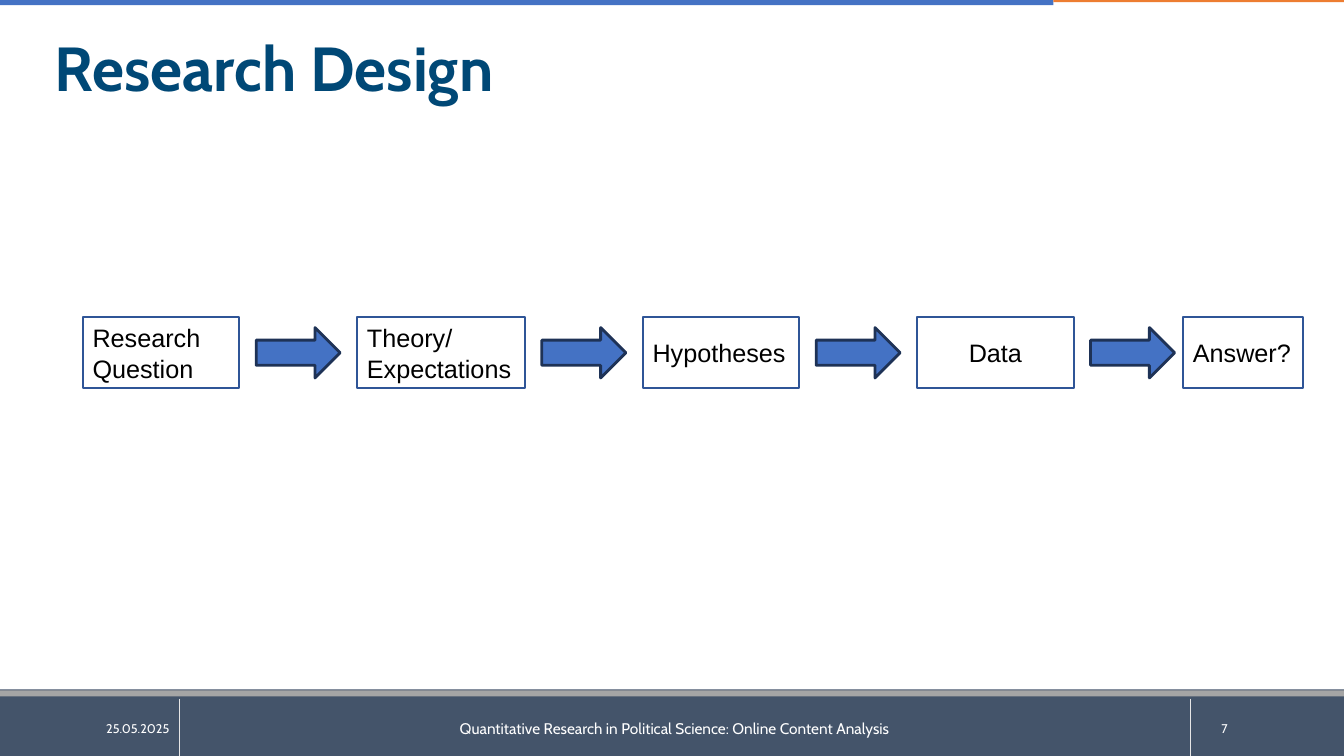
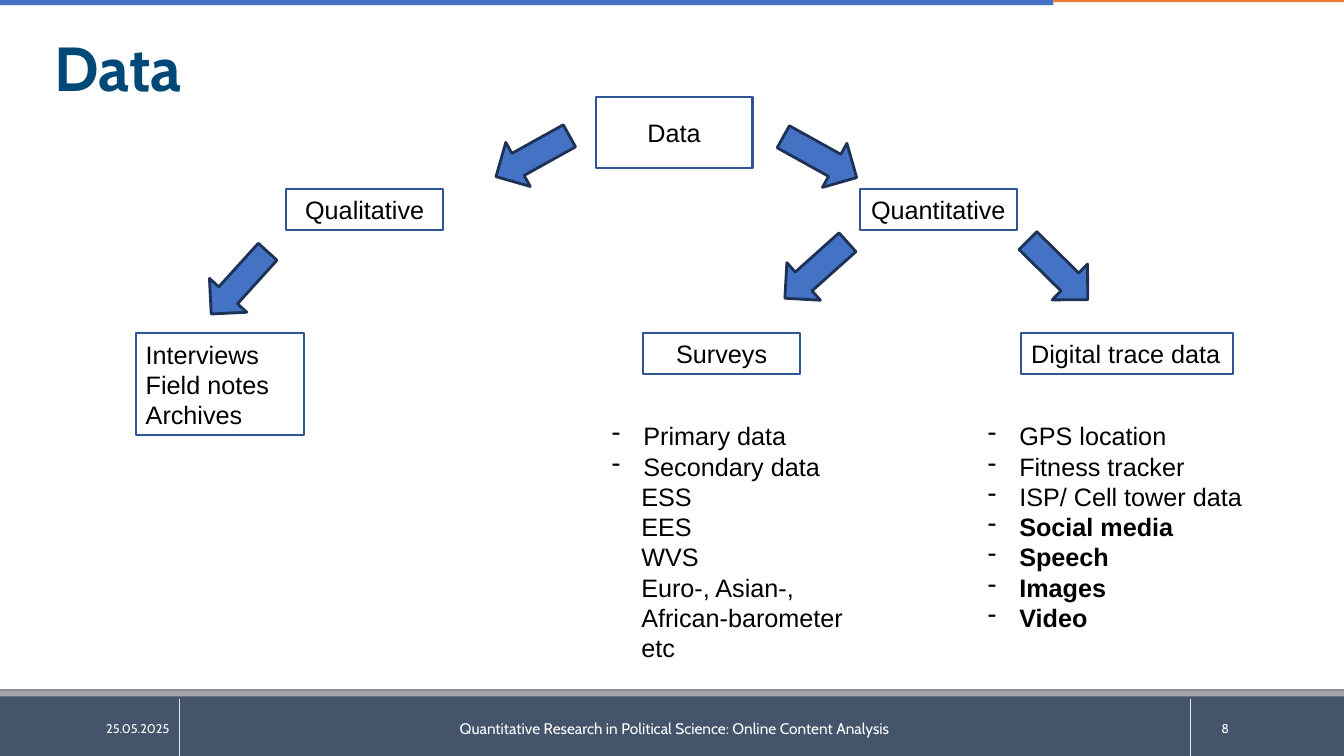
from collections import namedtuple

from lxml import etree
from pptx import Presentation
from pptx.dml.color import RGBColor
from pptx.enum import shapes, text
from pptx.oxml import ns
from pptx.util import Pt

NAVY = RGBColor(0x00, 0x48, 0x76)
SLATE = RGBColor(0x44, 0x54, 0x6A)
GRAY = RGBColor(0xA5, 0xA5, 0xA5)
PALE = RGBColor(0xE7, 0xE6, 0xE6)
BLUE = RGBColor(0x44, 0x72, 0xC4)
ORANGE = RGBColor(0xED, 0x7D, 0x31)
BOX_EDGE = RGBColor(0x2F, 0x55, 0x97)
ARROW_EDGE = RGBColor(0x1E, 0x32, 0x56)
WHITE = RGBColor(0xFF, 0xFF, 0xFF)
BLACK = RGBColor(0x00, 0x00, 0x00)

HEADING_FONT, BODY_FONT = "Cabin", "Arial"
COURSE = "Quantitative Research in Political Science: Online Content Analysis"
DATE = "25.05.2025"
LEFT, CENTER, RIGHT = text.PP_ALIGN.LEFT, text.PP_ALIGN.CENTER, text.PP_ALIGN.RIGHT
ARROW_WIDTH, ARROW_HEIGHT = 60, 36

Item = namedtuple("Item", "label bullet bold", defaults=(True, False))


class Box(namedtuple("Box", "left top width height")):
    """A rectangle in points."""

    def inner(self, left, top, width, height):
        return Box(self.left + left, self.top + top, width, height)

    def lengths(self):
        return [Pt(value) for value in self]


PAGE = Box(0, 0, 960, 540)
FOOTER = Box(0, 492.5, 960, 47.5)
TITLE = Box(32, 27.4, 698, 54)
CHAIN = Box(59, 226.5, 872, 51)
TREE = Box(97, 69, 815, 420)


def add_span(para, label, size=18, font=BODY_FONT, color=BLACK, bold=False):
    span = para.add_run()
    span.text = label
    span.font.size = Pt(size)
    span.font.name = font
    span.font.color.rgb = color
    span.font.bold = bold


def add_text_box(page, box, anchor=text.MSO_ANCHOR.MIDDLE):
    frame = page.shapes.add_textbox(*box.lengths()).text_frame
    frame.word_wrap = True
    frame.vertical_anchor = anchor
    return frame


def paragraphs(frame, items):
    """Yield one paragraph of the frame for each item."""
    for index, item in enumerate(items):
        yield (frame.add_paragraph() if index else frame.paragraphs[0]), item


def add_solid(page, kind, box, fill=None, edge=None, weight=1.5):
    shape = page.shapes.add_shape(kind, *box.lengths())
    shape.shadow.inherit = False
    if fill is None:
        shape.fill.background()
    else:
        shape.fill.solid()
        shape.fill.fore_color.rgb = fill
    if edge is None:
        shape.line.fill.background()
    else:
        shape.line.color.rgb = edge
        shape.line.width = Pt(weight)
    return shape


def add_band(page, box, fill):
    add_solid(page, shapes.MSO_SHAPE.RECTANGLE, box, fill)


def add_label_box(page, box, labels, align=CENTER):
    shape = add_solid(page, shapes.MSO_SHAPE.RECTANGLE, box, edge=BOX_EDGE)
    frame = shape.text_frame
    frame.word_wrap = True
    frame.vertical_anchor = text.MSO_ANCHOR.MIDDLE
    for para, label in paragraphs(frame, labels):
        para.alignment = align
        add_span(para, label)


def add_arrow(page, center_x, center_y, angle=0):
    box = Box(center_x - ARROW_WIDTH / 2, center_y - ARROW_HEIGHT / 2,
              ARROW_WIDTH, ARROW_HEIGHT)
    arrow = add_solid(page, shapes.MSO_SHAPE.RIGHT_ARROW, box, BLUE, ARROW_EDGE, 2)
    arrow.rotation = angle


def add_list(page, box, items):
    frame = add_text_box(page, box, text.MSO_ANCHOR.TOP)
    for para, item in paragraphs(frame, items):
        properties = para._p.get_or_add_pPr()
        properties.set("marL", str(Pt(22.5 if item.bullet else 21)))
        if item.bullet:
            properties.set("indent", str(-Pt(22.5)))
            etree.SubElement(properties, ns.qn("a:buChar")).set("char", "-")
        add_span(para, item.label, bold=item.bold)


def add_header(page, box):
    blue_width = 752.4
    add_band(page, box.inner(0, 0, blue_width, 3.6), BLUE)
    add_band(page, box.inner(blue_width, 0, box.width - blue_width, 1.6), ORANGE)


def add_footer(page, box, number):
    add_band(page, box, SLATE)
    add_band(page, box.inner(0, 0.7, box.width, 4.3), GRAY)
    for x in (128, 850.4):
        rule = page.shapes.add_connector(
            shapes.MSO_CONNECTOR.STRAIGHT, Pt(box.left + x), Pt(box.top + 6.5),
            Pt(box.left + x), Pt(box.top + box.height))
        rule.line.color.rgb = PALE
        rule.line.width = Pt(0.5)
        etree.SubElement(rule._element.spPr, ns.qn("a:effectLst"))
    for label, left, width, size, align in (
            (DATE, 32, 96, 9, RIGHT),
            (COURSE, 128, 708, 11, CENTER),
            (str(number), 865.4, 94, 9, LEFT)):
        para = add_text_box(page, box.inner(left, 13, width, 29)).paragraphs[0]
        para.alignment = align
        add_span(para, label, size, HEADING_FONT, WHITE)


def add_title(page, box, title):
    para = add_text_box(page, box, text.MSO_ANCHOR.TOP).paragraphs[0]
    para.line_spacing = 0.8
    para.space_before = Pt(10)
    add_span(para, title, 44.4, HEADING_FONT, NAVY, True)


def add_page(deck, title, number):
    """Add a blank page with the shared bands, footer and title."""
    page = deck.slides.add_slide(deck.slide_layouts[6])
    add_header(page, PAGE)
    add_footer(page, FOOTER, number)
    add_title(page, TITLE, title)
    return page


def draw_chain(page, box):
    """Draw the research steps from left to right with arrows between them."""
    gap = 12
    steps = (("Research Question", 112, LEFT), ("Theory/ Expectations", 120, LEFT),
             ("Hypotheses", 112, LEFT), ("Data", 112, CENTER))
    x = 0
    for label, width, align in steps:
        add_label_box(page, box.inner(x, 0, width, box.height), [label], align)
        x += width + gap
        add_arrow(page, box.left + x + ARROW_WIDTH / 2, box.top + box.height / 2)
        x += ARROW_WIDTH + gap
    x -= gap / 2
    add_label_box(page, box.inner(x, 0, box.width - x, box.height), ["Answer?"], LEFT)


def draw_tree(page, box):
    """Draw the kinds of data as a tree with lists under its leaves."""
    branch_top, leaf_top, list_top = 66, 169, 228
    row = 29
    for labels, left, top, width, height, align in (
            (["Data"], 328.5, 0, 112, 51, CENTER),
            (["Qualitative"], 107.5, branch_top, 112, row, CENTER),
            (["Quantitative"], 517, branch_top, 112.5, row, CENTER),
            (["Interviews", "Field notes", "Archives"], 0, leaf_top, 120, 73, LEFT),
            (["Surveys"], 362.5, leaf_top, 112, row, CENTER),
            (["Digital trace data"], 632.5, leaf_top, 151, row, LEFT)):
        add_label_box(page, box.inner(left, top, width, height), labels, align)

    for x, y, angle in ((283.5, 42.6, 150.9), (488.7, 43.3, 29.1), (74, 133, 132.2),
                        (486, 124, 138.2), (658.6, 124, 44.6)):
        add_arrow(page, box.left + x, box.top + y, angle)

    surveys = [Item("Primary data"), Item("Secondary data")]
    surveys += [Item(label, bullet=False) for label in
                ("ESS", "EES", "WVS", "Euro-, Asian-, African-barometer", "etc")]
    traces = [Item(label) for label in
              ("GPS location", "Fitness tracker", "ISP/ Cell tower data")]
    traces += [Item(label, bold=True) for label in
               ("Social media", "Speech", "Images", "Video")]
    add_list(page, box.inner(333, list_top, 191, 182), surveys)
    add_list(page, box.inner(601.5, list_top, 213, 160), traces)


def main():
    deck = Presentation()
    deck.slide_width, deck.slide_height = Pt(PAGE.width), Pt(PAGE.height)
    draw_chain(add_page(deck, "Research Design", 7), CHAIN)
    draw_tree(add_page(deck, "Data", 8), TREE)
    deck.save("out.pptx")


if __name__ == "__main__":
    main()
